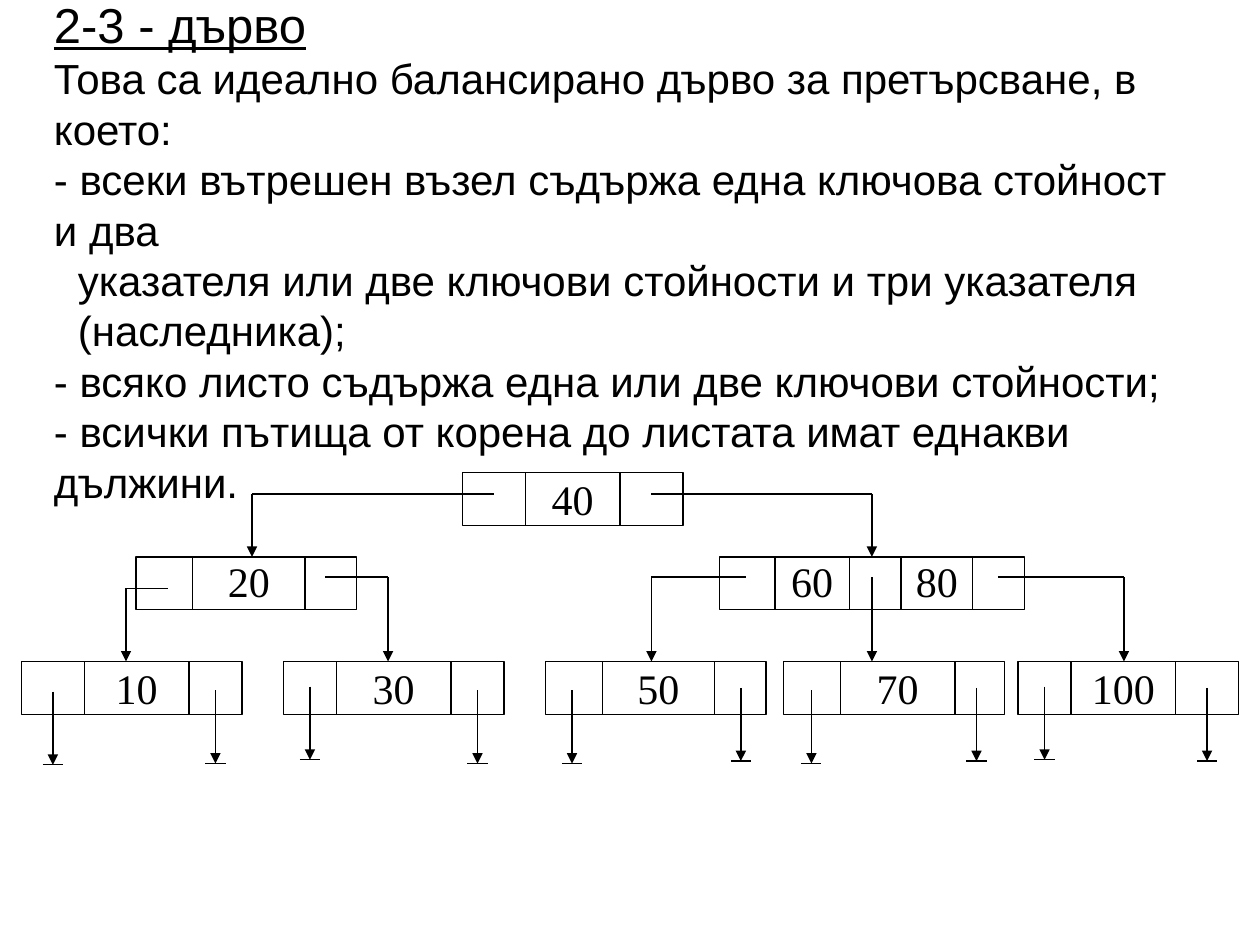
from dataclasses import dataclass

from lxml import etree
from pptx import Presentation
from pptx import util as u
from pptx.dml.color import RGBColor
from pptx.enum import shapes, text
from pptx.oxml import ns


@dataclass(frozen=True)
class Theme:
    ink: RGBColor = RGBColor(0, 0, 0)
    prose_font: str = "Arial"
    key_font: str = "Times New Roman"
    heading_size: float = 28
    body_size: float = 24
    leading: float = 28.8
    line_width: float = 0.75


@dataclass(frozen=True)
class Box:
    left: float
    top: float
    width: float
    height: float


@dataclass(frozen=True)
class Node:
    left: float
    cells: tuple
    keys: tuple
    nulls: tuple = ()


THEME = Theme()
NODE_HEIGHT = 0.42
LEVEL_TOPS = (0, 0.67, 1.5)
KEY_RISES = (0.04, 0.06, 0.04)

LEVELS = (
    (Node(3.5, (0.5, 0.75, 0.5), ("40",)),),
    (
        Node(0.91, (0.45, 0.89, 0.41), ("20",)),
        Node(5.54, (0.44, 0.59, 0.41, 0.57, 0.41), ("60", "80")),
    ),
    (
        Node(0, (0.5, 0.83, 0.42), ("10",), ((0.25, 0.82), (1.54, 0.81))),
        Node(2.08, (0.42, 0.91, 0.42), ("30",), ((0.21, 0.78), (1.54, 0.81))),
        Node(4.16, (0.45, 0.89, 0.41), ("50",), ((0.21, 0.81), (1.55, 0.79))),
        Node(6.05, (0.45, 0.91, 0.39), ("70",), ((0.22, 0.81), (1.53, 0.79))),
        Node(7.91, (0.42, 0.83, 0.5), ("100",), ((0.21, 0.78), (1.5, 0.79))),
    ),
)

POINTERS = (
    (3.75, 0.17, 1.83, 1, None),
    (5, 0.17, 6.75, 1, 1),
    (1.16, 0.92, 0.83, 2, None),
    (2.41, 0.83, 2.91, 2, None),
    (5.75, 0.83, 5, 2, None),
    (6.75, 0.83, 6.75, 2, None),
    (7.75, 0.83, 8.75, 2, None),
)

HEADING = "2-3 - дърво"
DEFINITION = (
    ("Това са идеално балансирано дърво за претърсване, в което:", 0),
    ("- всеки вътрешен възел съдържа една ключова стойност и два", 0),
    ("указателя или две ключови стойности и три указателя", 0.19),
    ("(наследника);", 0.19),
    ("- всяко листо съдържа една или две ключови стойности;", 0),
    ("- всички пътища от корена до листата имат еднакви дължини.", 0),
)


def write(para, words, *, size, font, underline=False, indent=0, leading=None):
    span = para.add_run()
    span.text = words
    span.font.size = u.Pt(size)
    span.font.name = font
    span.font.underline = underline
    span.font.color.rgb = THEME.ink
    if leading:
        para.line_spacing = u.Pt(leading)
    if indent:
        para._p.get_or_add_pPr().set("marL", str(u.Inches(indent)))


def add_text_frame(page, box, wrap):
    frame = page.shapes.add_textbox(
        u.Inches(box.left), u.Inches(box.top), u.Inches(box.width), u.Inches(box.height)
    ).text_frame
    frame.word_wrap = wrap
    return frame


def add_line(page, start_x, start_y, end_x, end_y, arrow=False):
    line = page.shapes.add_connector(
        shapes.MSO_CONNECTOR.STRAIGHT,
        u.Inches(start_x), u.Inches(start_y), u.Inches(end_x), u.Inches(end_y),
    )
    line.line.color.rgb = THEME.ink
    line.line.width = u.Pt(THEME.line_width)
    if arrow:
        etree.SubElement(line.line._get_or_add_ln(), ns.qn("a:tailEnd"), type="triangle")
    etree.SubElement(line._element.spPr, ns.qn("a:effectLst"))
    return line


def add_definition(page, box):
    frame = add_text_frame(page, box, wrap=True)
    frame.margin_top = u.Inches(0.02)
    write(frame.paragraphs[0], HEADING, size=THEME.heading_size,
          font=THEME.prose_font, underline=True, leading=THEME.leading)
    for words, indent in DEFINITION:
        write(frame.add_paragraph(), words, size=THEME.body_size,
              font=THEME.prose_font, indent=indent, leading=THEME.leading)


def add_null(page, x, top, end_y):
    add_line(page, x, top, x, end_y, arrow=True)
    add_line(page, x - 0.08, end_y, x + 0.08, end_y)


def add_node(page, box, node, key_rise):
    frame = page.shapes.add_shape(
        shapes.MSO_SHAPE.RECTANGLE,
        u.Inches(box.left), u.Inches(box.top), u.Inches(box.width), u.Inches(box.height),
    )
    frame.shadow.inherit = False
    frame.fill.background()
    frame.line.color.rgb = THEME.ink
    frame.line.width = u.Pt(THEME.line_width)

    edge = box.left
    for index, width in enumerate(node.cells):
        if index:
            add_line(page, edge, box.top, edge, box.top + box.height)
        if index % 2:
            key = node.keys[index // 2]
            key_width = 0.3 + 0.14 * len(key)
            key_box = Box(edge + (width - key_width) / 2, box.top - key_rise, key_width, 0.5)
            para = add_text_frame(page, key_box, wrap=False).paragraphs[0]
            para.alignment = text.PP_ALIGN.CENTER
            write(para, key, size=THEME.body_size, font=THEME.key_font)
        edge += width

    for offset, drop in node.nulls:
        add_null(page, box.left + offset, box.top + drop - 0.58, box.top + drop)
    return frame


def add_tree(page, box):
    frames = []
    for nodes, top, key_rise in zip(LEVELS, LEVEL_TOPS, KEY_RISES):
        frames.append([
            add_node(page, Box(box.left + node.left, box.top + top, sum(node.cells), NODE_HEIGHT),
                     node, key_rise)
            for node in nodes
        ])
    for start, turn, end, level, child in POINTERS:
        start_x, end_x, turn_y = box.left + start, box.left + end, box.top + turn
        if start != end:
            add_line(page, start_x, turn_y, end_x, turn_y)
        arrow = add_line(page, end_x, turn_y, end_x, box.top + LEVEL_TOPS[level], arrow=True)
        if child is not None:
            arrow.end_connect(frames[level][child], 0)


def main():
    deck = Presentation()
    deck.slide_width, deck.slide_height = u.Inches(10), u.Inches(7.5)
    page = deck.slides.add_slide(deck.slide_layouts[6])
    add_definition(page, Box(0.33, 0, 9.25, 4.1))
    add_tree(page, Box(0.17, 3.75, 9.66, 2.32))
    deck.save("out.pptx")


if __name__ == "__main__":
    main()
